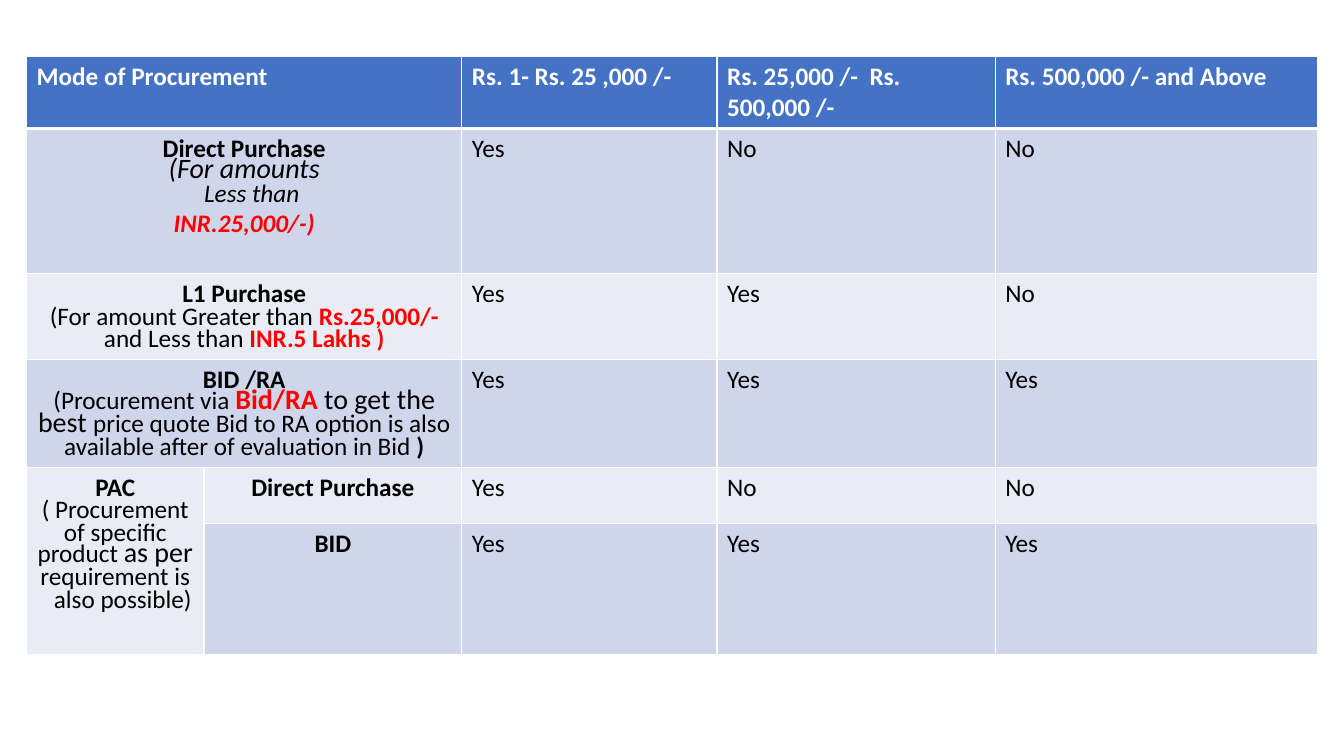
"""Build a slide with a table of procurement modes by amount."""
from dataclasses import dataclass
from typing import NamedTuple

from lxml import etree
from pptx import Presentation
from pptx.dml.color import RGBColor
from pptx.enum.text import PP_ALIGN
from pptx.oxml.ns import qn
from pptx.table import Table, _Cell
from pptx.util import Cm, Pt

LEFT = PP_ALIGN.LEFT
CENTER = PP_ALIGN.CENTER


@dataclass(frozen=True)
class Theme:
    font: str = "Calibri"
    header: RGBColor = RGBColor(0x44, 0x72, 0xC4)
    dark_band: RGBColor = RGBColor(0xCF, 0xD5, 0xEA)
    light_band: RGBColor = RGBColor(0xE9, 0xEB, 0xF5)
    white: RGBColor = RGBColor(0xFF, 0xFF, 0xFF)
    black: RGBColor = RGBColor(0x00, 0x00, 0x00)
    red: RGBColor = RGBColor(0xFF, 0x00, 0x00)
    body: Pt = Pt(18)
    large: Pt = Pt(20)
    tab: Pt = Pt(28)
    tight: Pt = Pt(16)
    loose: Pt = Pt(18.7)
    rule: Pt = Pt(1)
    header_rule: Pt = Pt(3)


THEME = Theme()
PLAIN = {"name": THEME.font, "size": THEME.body, "bold": False, "italic": False, "color": THEME.black}
BOLD = PLAIN | {"bold": True}
HEADING = BOLD | {"color": THEME.white}
ALERT = BOLD | {"color": THEME.red}
ITALIC = PLAIN | {"italic": True}
LARGE = PLAIN | {"size": THEME.large}
TAB = PLAIN | {"size": THEME.tab}


class Span(NamedTuple):
    text: str
    style: dict = PLAIN


class Line(NamedTuple):
    spans: list[Span]
    align: PP_ALIGN = CENTER
    spacing: Pt | None = THEME.tight
    tabs: tuple[Cm, ...] = ()


class Mode(NamedTuple):
    height: Cm
    fill: RGBColor
    labels: dict[int, list[Line]]
    answers: list[str]
    answer_style: dict = PLAIN


def title(text: str, style: dict = BOLD, align: PP_ALIGN = CENTER) -> Line:
    """Return a one-span line with natural spacing."""
    return Line([Span(text, style)], align, None)


COLUMN_WIDTHS = [Cm(4.47), Cm(6.5), Cm(6.43), Cm(7.01), Cm(8.13)]
FIRST_ANSWER = 2
MODES = [
    Mode(Cm(1.78), THEME.header, {0: [title("Mode of Procurement", HEADING, LEFT)]},
         ["Rs. 1- Rs. 25 ,000 /-", "Rs. 25,000 /-  Rs. 500,000 /-", "Rs. 500,000 /- and Above"], HEADING),
    Mode(Cm(3.66), THEME.dark_band, {0: [
        title("Direct Purchase"),
        Line([Span("(For amounts", LARGE | {"italic": True})]),
        Line([Span("\t", TAB), Span("Less than", ITALIC)], spacing=THEME.loose, tabs=(Cm(0.38),)),
        Line([Span("INR.25,000/-)", ALERT | {"italic": True})], spacing=THEME.loose),
    ]}, ["Yes", "No", "No"]),
    Mode(Cm(2.15), THEME.light_band, {0: [
        title("L1 Purchase"),
        Line([Span("(For amount Greater than "), Span("Rs.25,000/- ", ALERT),
              Span("and Less than "), Span("INR.5 Lakhs )", ALERT)]),
    ]}, ["Yes", "Yes", "No"]),
    Mode(Cm(2.72), THEME.dark_band, {0: [
        title("BID /RA"),
        Line([Span("(Procurement via "), Span("Bid/RA ", ALERT | {"size": THEME.large}),
              Span("to get the best ", LARGE),
              Span("price quote Bid to RA option is also available after of evaluation in Bid"),
              Span(" )", BOLD)]),
    ]}, ["Yes", "Yes", "Yes"]),
    Mode(Cm(1.42), THEME.light_band, {
        0: [
            title("PAC"),
            Line([Span("( Procurement of specific product "), Span("as per ", LARGE), Span("requirement is")]),
            Line([Span("\t\t", TAB), Span("also possible)")],
                 spacing=THEME.loose, tabs=(Cm(0.15), Cm(0.38))),
        ],
        1: [title("Direct Purchase")],
    }, ["Yes", "No", "No"]),
    Mode(Cm(3.3), THEME.dark_band, {1: [title("BID")]}, ["Yes", "Yes", "Yes"]),
]
MERGES = [((row, 0), (row, 1)) for row in range(4)] + [((4, 0), (5, 0))]


def write_lines(cell: _Cell, lines: list[Line]) -> None:
    """Fill a cell with formatted paragraphs."""
    frame = cell.text_frame
    for index, line in enumerate(lines):
        paragraph = frame.add_paragraph() if index else frame.paragraphs[0]
        paragraph.alignment = line.align
        if line.spacing is not None:
            paragraph.line_spacing = line.spacing
        if line.tabs:
            stops = etree.SubElement(paragraph._p.get_or_add_pPr(), qn("a:tabLst"))
            for position in line.tabs:
                etree.SubElement(stops, qn("a:tab"), pos=str(int(position)), algn="l")
        for span in line.spans:
            run = paragraph.add_run()
            run.text = span.text
            for attribute, value in span.style.items():
                if attribute == "color":
                    run.font.color.rgb = value
                else:
                    setattr(run.font, attribute, value)


def paint_cell(cell: _Cell, fill: RGBColor, top: Pt, bottom: Pt) -> None:
    """Give a cell its white borders and its fill."""
    properties = cell._tc.get_or_add_tcPr()
    widths = {"lnL": THEME.rule, "lnR": THEME.rule, "lnT": top, "lnB": bottom}
    for edge, width in widths.items():
        border = etree.SubElement(properties, qn(f"a:{edge}"), w=str(int(width)))
        solid = etree.SubElement(border, qn("a:solidFill"))
        etree.SubElement(solid, qn("a:srgbClr"), val=str(THEME.white))
    cell.fill.solid()
    cell.fill.fore_color.rgb = fill


def fill_row(table: Table, row: int, mode: Mode) -> None:
    """Write one procurement mode into its table row."""
    table.rows[row].height = mode.height
    top = THEME.header_rule if row == 1 else THEME.rule
    bottom = THEME.header_rule if row == 0 else THEME.rule
    for column in range(len(COLUMN_WIDTHS)):
        paint_cell(table.cell(row, column), mode.fill, top, bottom)
    for column, lines in mode.labels.items():
        write_lines(table.cell(row, column), lines)
    for column, answer in enumerate(mode.answers, FIRST_ANSWER):
        write_lines(table.cell(row, column), [title(answer, mode.answer_style, LEFT)])


def main() -> None:
    """Create the slide and save it."""
    deck = Presentation()
    deck.slide_width, deck.slide_height = Cm(33.87), Cm(19.05)
    slide = deck.slides.add_slide(deck.slide_layouts[6])
    height = sum(mode.height for mode in MODES)
    table = slide.shapes.add_table(len(MODES), len(COLUMN_WIDTHS), Cm(0.67), Cm(1.43),
                                   sum(COLUMN_WIDTHS), height).table
    for column, width in zip(table.columns, COLUMN_WIDTHS):
        column.width = width
    for start, end in MERGES:
        table.cell(*start).merge(table.cell(*end))
    for row, mode in enumerate(MODES):
        fill_row(table, row, mode)
    deck.save("out.pptx")


if __name__ == "__main__":
    main()
